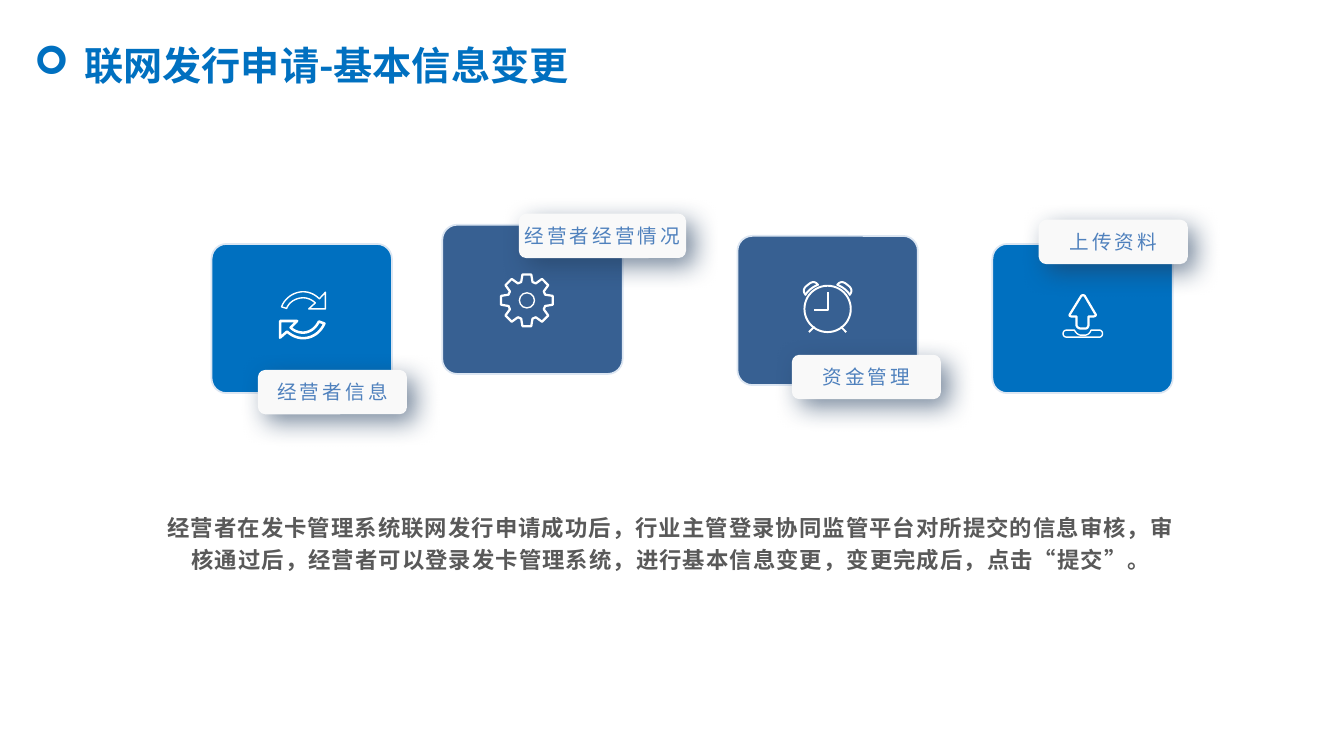
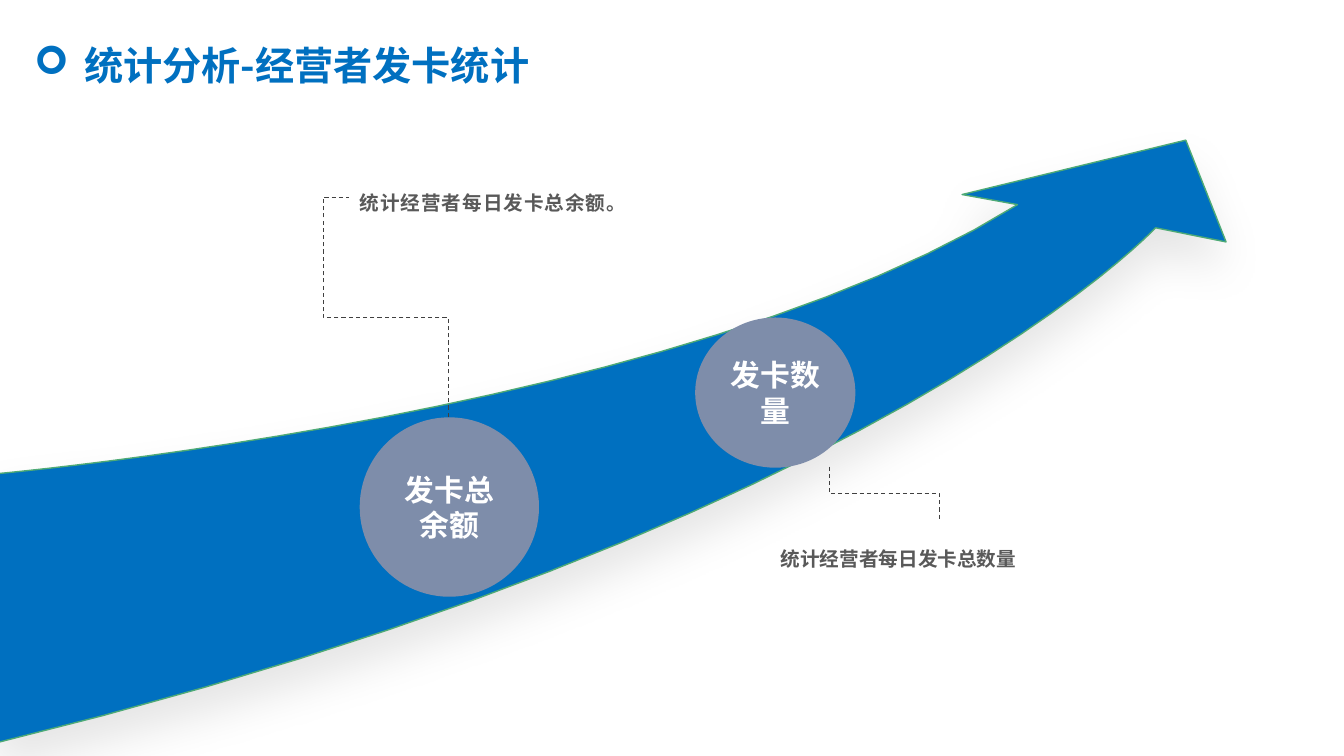
"""Build two slides on card issuing: changing basic information and issue statistics."""
from math import cos, pi, sin

from lxml import etree
from pptx import Presentation
from pptx.dml.color import RGBColor
from pptx.enum.dml import MSO_LINE
from pptx.enum.shapes import MSO_CONNECTOR, MSO_SHAPE
from pptx.enum.text import MSO_ANCHOR, PP_ALIGN
from pptx.oxml.ns import qn
from pptx.util import Inches, Pt

ROUNDED, OVAL = MSO_SHAPE.ROUNDED_RECTANGLE, MSO_SHAPE.OVAL
ELBOW, DASH = MSO_CONNECTOR.ELBOW, MSO_LINE.DASH
LEFT, CENTER, JUSTIFY = PP_ALIGN.LEFT, PP_ALIGN.CENTER, PP_ALIGN.JUSTIFY
MIDDLE = MSO_ANCHOR.MIDDLE

BLUE = RGBColor(0x00, 0x70, 0xC0)
NAVY = RGBColor(0x37, 0x60, 0x92)
PALE_BLUE = RGBColor(0xDC, 0xE6, 0xF2)
LABEL_BLUE = RGBColor(0x4F, 0x81, 0xBD)
LABEL_FILL = RGBColor(0xF9, 0xF9, 0xF9)
LABEL_SHADOW = RGBColor(0x25, 0x40, 0x61)
GREEN = RGBColor(0x4E, 0xAA, 0x76)
SLATE = RGBColor(0x7E, 0x8D, 0xAA)
BODY_GRAY = RGBColor(0x59, 0x59, 0x59)
DARK_GRAY = RGBColor(0x40, 0x40, 0x40)
WHITE = RGBColor(0xFF, 0xFF, 0xFF)
BLACK = RGBColor(0x00, 0x00, 0x00)

BODY_FONT = "Calibri"
TITLE_FONT = "Noto Sans CJK SC"

presentation = Presentation()
presentation.slide_width, presentation.slide_height = Inches(13.34), Inches(7.5)
COLUMN = presentation.slide_width / 133.4
ROW = presentation.slide_height / 75
CURVE_STEPS = 24


def place(*lengths):
    """Turn alternating columns and rows into slide lengths."""
    return [round(length * (ROW if index % 2 else COLUMN)) for index, length in enumerate(lengths)]


def write(shape, text, size, color, font=BODY_FONT, bold=True, align=CENTER, line_spacing=None, tracking=0):
    """Put one formatted paragraph into a shape."""
    frame = shape.text_frame
    frame.word_wrap = True
    frame.text = text
    paragraph = frame.paragraphs[0]
    paragraph.alignment = align
    if line_spacing:
        paragraph.line_spacing = line_spacing
    run = paragraph.runs[0]
    run.font.name, run.font.size, run.font.bold = font, Pt(size), bold
    run.font.color.rgb = color
    properties = run.font._element
    properties.set("lang", "zh-CN")
    if tracking:
        properties.set("spc", str(tracking))
    return paragraph


slides = []
for title, width in (("联网发行申请-基本信息变更", 56.2), ("统计分析-经营者发卡统计", 54.7)):
    slide = presentation.slides.add_slide(presentation.slide_layouts[6])
    title_box = slide.shapes.add_textbox(*place(2.4, 3.6, width, 5.7))
    paragraph = write(title_box, title, 28, BLUE, font=TITLE_FONT, align=LEFT)
    properties = paragraph._p.get_or_add_pPr()
    properties.set("marL", str(Inches(0.5)))
    properties.set("indent", str(-Inches(0.5)))
    etree.SubElement(properties, qn("a:buFont")).set("typeface", "Wingdings")
    etree.SubElement(properties, qn("a:buChar")).set("char", "➢")
    slides.append(slide)
change_slide, statistics_slide = slides

shadows = []
tiles = (
    (21, 24.2, BLUE, "经营者信息", 25.6, 36.7, 14.8),
    (43.9, 22.3, NAVY, "经营者经营情况", 51.5, 21.2, 16.6),
    (73.2, 23.4, NAVY, "资金管理", 78.6, 35.2, 14.8),
    (98.5, 24.2, BLUE, "上传资料", 103.1, 21.8, 14.8),
)
for left, top, color, name, label_left, label_top, label_width in tiles:
    tile = change_slide.shapes.add_shape(ROUNDED, *place(left, top, 17.9, 14.8))
    tile.shadow.inherit = False
    tile.adjustments[0] = 0.1
    tile.fill.solid()
    tile.fill.fore_color.rgb = color
    tile.line.color.rgb = PALE_BLUE
    tile.line.width = Pt(1.25)
    label = change_slide.shapes.add_shape(ROUNDED, *place(label_left, label_top, label_width, 4.4))
    label.fill.solid()
    label.fill.fore_color.rgb = LABEL_FILL
    label.line.fill.background()
    label.text_frame.margin_left = label.text_frame.margin_right = 0
    label.text_frame.vertical_anchor = MIDDLE
    write(label, name, 14, LABEL_BLUE, bold=False, tracking=220)
    shadows.append((label, LABEL_SHADOW, 60, 18, 8, 45))

explanation = change_slide.shapes.add_textbox(*place(15.2, 50, 102.9, 7.5))
write(
    explanation,
    "经营者在发卡管理系统联网发行申请成功后，行业主管登录协同监管平台对所提交的信息审核，"
    "审核通过后，经营者可以登录发卡管理系统，进行基本信息变更，变更完成后，点击“提交”。",
    16, BODY_GRAY, line_spacing=1.2, tracking=80,
)

for center_x, center_y, diameter, weight in ((52.3, 29.8, 1.5, 1), (82.15, 30.65, 4.6, 1.4)):
    ring = change_slide.shapes.add_shape(
        OVAL, *place(center_x - diameter / 2, center_y - diameter / 2, diameter, diameter))
    ring.shadow.inherit = False
    ring.fill.background()
    ring.line.color.rgb = WHITE
    ring.line.width = Pt(weight)

gear = []
for tooth in range(8):
    for radius, offset in ((1.9, -0.3), (2.6, -0.17), (2.6, 0.17), (1.9, 0.3)):
        angle = tooth * pi / 4 + offset
        gear.append((52.3 + radius * cos(angle), 29.8 + radius * sin(angle)))

refresh_top = [
    (32.3, 30.65), (30.65, 30.65), (31.3, 30.05), (30.9, 29.7, 30.5, 29.55, 30.1, 29.55),
    (29.4, 29.55, 28.7, 29.95, 28.45, 30.6), (27.95, 30.45),
    (28.25, 29.6, 29.15, 28.95, 30.1, 28.95), (30.7, 28.95, 31.25, 29.2, 31.7, 29.65), (32.3, 29),
]
refresh_bottom = [
    (27.8, 33.5), (27.8, 31.85), (29.5, 31.85), (28.85, 32.5), (29.2, 32.85, 29.65, 33, 30.1, 33),
    (30.75, 33, 31.35, 32.55, 31.65, 31.9), (32.2, 32.1),
    (31.8, 33, 31, 33.55, 30.1, 33.55), (29.5, 33.55, 28.95, 33.3, 28.5, 32.9),
]
upload_tray = [
    (105.9, 32.75), (106.65, 32.75), (106.8, 33.05, 107.05, 33.25, 107.3, 33.25), (107.7, 33.25),
    (107.95, 33.25, 108.2, 33.05, 108.3, 32.75), (109.1, 32.75),
    (109.55, 32.75, 109.55, 33.45, 109.1, 33.45), (105.9, 33.45),
    (105.4, 33.45, 105.4, 32.75, 105.9, 32.75),
]
upload_arrow = [
    (107.3, 29.4), (107.4, 29.25, 107.6, 29.25, 107.7, 29.4), (108.7, 31.1),
    (108.85, 31.3, 108.75, 31.4, 108.4, 31.4), (108.05, 31.4), (108.05, 32.2),
    (108.05, 32.45, 107.9, 32.6, 107.7, 32.6), (107.3, 32.6),
    (107.1, 32.6, 106.85, 32.45, 106.85, 32.2), (106.85, 31.4), (106.5, 31.4),
    (106.15, 31.4, 106.1, 31.3, 106.25, 31.1),
]
clock_hands = [(82.2, 29), (82.2, 30.8), (80.8, 30.8)]
clock_bell = [
    (83.1, 28.25), (83.6, 28.45, 84.1, 28.8, 84.35, 29.25),
    (84.6, 28.9, 84.6, 28.6, 84.1, 28.25), (83.7, 27.9, 83.4, 27.9, 83.1, 28.25),
]
clock_leg = [(83.45, 32.4), (84, 32.95)]
growth_arrow = [
    (-0.4, 47), (-0.4, 47, 67.9, 41, 101, 20.3), (95.5, 19.3), (117.7, 13.9), (121.7, 24),
    (114.7, 22.6), (114.7, 22.6, 87.2, 52.3, -0.4, 73.7),
]

outlines = [
    (change_slide, gear, True, None, WHITE, 1.6),
    (change_slide, refresh_top, True, None, WHITE, 1),
    (change_slide, refresh_bottom, True, None, WHITE, 1.8),
    (change_slide, upload_tray, True, None, WHITE, 1),
    (change_slide, upload_arrow, True, None, WHITE, 1.6),
    (change_slide, clock_hands, False, None, WHITE, 1.4),
    (statistics_slide, growth_arrow, True, BLUE, GREEN, 1),
]
for part, closed in ((clock_bell, True), (clock_leg, False)):
    mirrored = [
        tuple(value if index % 2 else 164.3 - value for index, value in enumerate(step)) for step in part]
    for side in (part, mirrored):
        outlines.append((change_slide, side, closed, None, WHITE, 1.4))

for slide, steps, closed, fill, line_color, weight in outlines:
    points = [steps[0]]
    for step in steps[1:]:
        if len(step) == 2:
            points.append(step)
            continue
        start = points[-1]
        for index in range(1, CURVE_STEPS + 1):
            share = index / CURVE_STEPS
            rest = 1 - share
            points.append(tuple(
                rest ** 3 * start[axis] + 3 * rest ** 2 * share * step[axis]
                + 3 * rest * share ** 2 * step[axis + 2] + share ** 3 * step[axis + 4]
                for axis in (0, 1)))
    builder = slide.shapes.build_freeform(*place(*points[0]))
    builder.add_line_segments([place(*point) for point in points[1:]], close=closed)
    outline = builder.convert_to_shape()
    outline.shadow.inherit = False
    outline.line.color.rgb = line_color
    outline.line.width = Pt(weight)
    if fill is None:
        outline.fill.background()
    else:
        outline.fill.solid()
        outline.fill.fore_color.rgb = fill
        shadows.append((outline, BLACK, 10, 33, 18, 90))

connectors = (
    (28.7, 25.5, 21.8, 9.9, 270, "bentConnector4", (0.45, 1.26)),
    (85.1, 43.5, 5.4, 11, 90, "bentConnector3", (0.5,)),
)
for left, top, width, height, rotation, preset, bends in connectors:
    connector = statistics_slide.shapes.add_connector(
        ELBOW, *place(left, top + height, left + width, top))
    connector.line.color.rgb = DARK_GRAY
    connector.line.width = Pt(0.75)
    connector.line.dash_style = DASH
    properties = connector._element.spPr
    etree.SubElement(properties, qn("a:effectLst"))
    properties.find(qn("a:xfrm")).set("rot", str(rotation * 60000))
    geometry = properties.find(qn("a:prstGeom"))
    geometry.set("prst", preset)
    guides = geometry.find(qn("a:avLst"))
    for number, bend in enumerate(bends, 1):
        guide = etree.SubElement(guides, qn("a:gd"))
        guide.set("name", f"adj{number}")
        guide.set("fmla", f"val {round(bend * 100000)}")

for left, top, width, height, name in (
        (35.7, 41.4, 17.8, 17.8, "发卡总余额"), (69, 31.5, 15.9, 14.9, "发卡数量")):
    circle = statistics_slide.shapes.add_shape(OVAL, *place(left, top, width, height))
    circle.shadow.inherit = False
    circle.fill.solid()
    circle.fill.fore_color.rgb = SLATE
    circle.line.fill.background()
    circle.text_frame.vertical_anchor = MIDDLE
    write(circle, name, 21.3, WHITE, font=TITLE_FONT)

for left, top, width, text in (
        (34.7, 17.3, 26.5, "统计经营者每日发卡总余额。"), (76.5, 52.6, 34.5, "统计经营者每日发卡总数量")):
    note = statistics_slide.shapes.add_textbox(*place(left, top, width, 4.5))
    write(note, text, 14, BODY_GRAY, align=JUSTIFY, line_spacing=1.5)

for shape, color, opacity, blur, distance, angle in shadows:
    shape.shadow.inherit = False
    effects = shape._element.spPr.find(qn("a:effectLst"))
    shadow = etree.SubElement(effects, qn("a:outerShdw"))
    for key, value in (("blurRad", Pt(blur)), ("dist", Pt(distance)), ("dir", angle * 60000)):
        shadow.set(key, str(value))
    shadow_color = etree.SubElement(shadow, qn("a:srgbClr"))
    shadow_color.set("val", str(color))
    etree.SubElement(shadow_color, qn("a:alpha")).set("val", str(opacity * 1000))

presentation.save("out.pptx")
